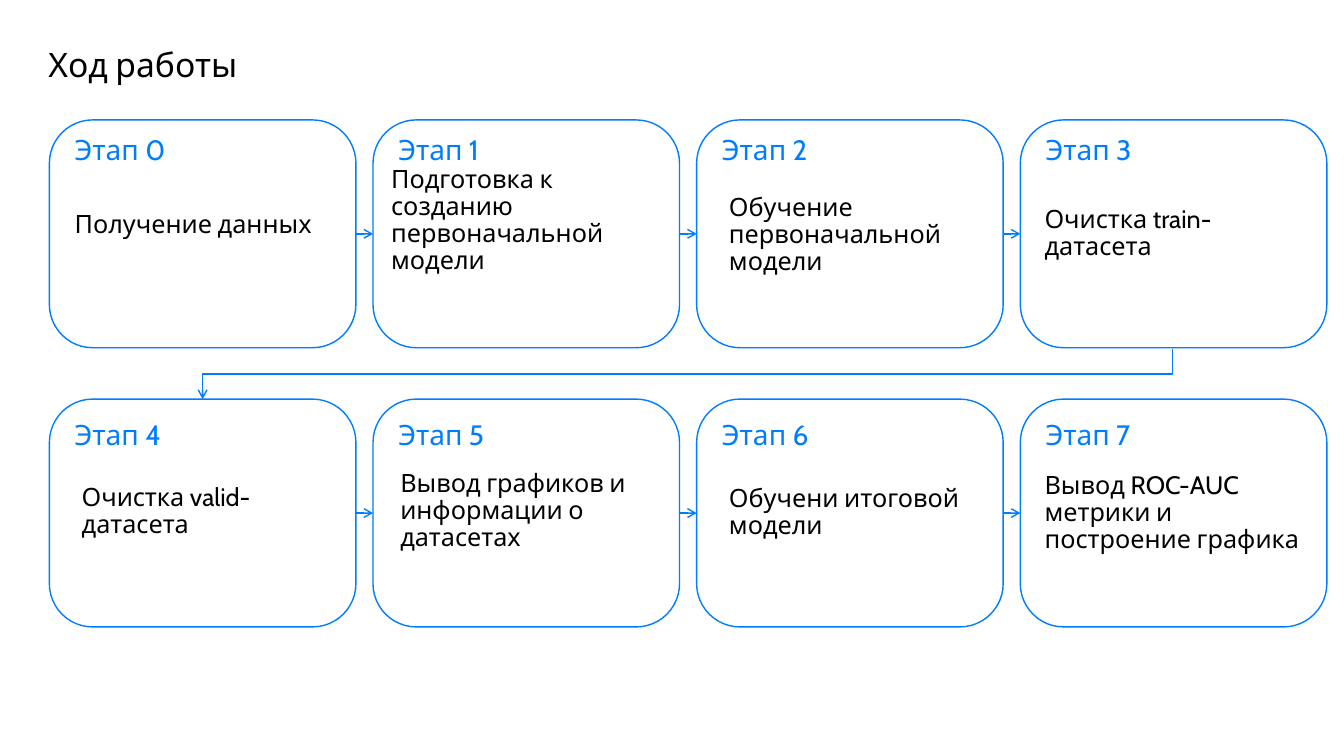
import pptx
import pptx.util
from lxml import etree
from pptx.dml.color import RGBColor
from pptx.enum.shapes import MSO_CONNECTOR, MSO_SHAPE
from pptx.enum.text import MSO_ANCHOR, MSO_AUTO_SIZE, PP_ALIGN
from pptx.oxml.ns import qn

PX = 9144  # 100 px to the inch
BLUE = RGBColor(0x00, 0x7D, 0xFF)
BLACK = RGBColor(0x00, 0x00, 0x00)
WHITE = RGBColor(0xFF, 0xFF, 0xFF)

CARD_LEFT, CARD_WIDTH, CARD_HEIGHT = 49, 304, 226
COLUMN_STEP = 321
ROW_TOPS = [119, 396]
LABEL_TOPS = [131, 414]

# description, left, top, width, height
STAGES = [
    ("Получение данных", 74, 210, 255, 27),
    ("Подготовка к созданию первоначальной модели", 388, 191, 274, 82),
    ("Обучение первоначальной модели", 723, 192, 255, 82),
    ("Очистка train-датасета", 1036, 204, 255, 55),
    ("Очистка valid-датасета", 81, 480, 255, 55),
    ("Вывод графиков и информации о датасетах", 397, 466, 255, 82),
    ("Обучени итоговой модели", 723, 481, 255, 55),
    ("Вывод ROC-AUC метрики и построение графика", 1036, 468, 255, 82),
]


def write(shape, text, size, color, spacing=None, anchor=MSO_ANCHOR.TOP):
    frame = shape.text_frame
    frame.margin_left = frame.margin_top = frame.margin_right = frame.margin_bottom = 0
    frame.word_wrap = True
    frame.vertical_anchor = anchor
    para = frame.paragraphs[0]
    para.text = text
    para.alignment = PP_ALIGN.LEFT
    para.line_spacing = spacing
    para.font.name = "Cabin"
    para.font.size = pptx.util.Pt(size)
    para.font.color.rgb = color
    return frame


def add_arrow(kind, left, top, right, bottom):
    arrow = page.shapes.add_connector(kind, left * PX, top * PX, right * PX, bottom * PX)
    arrow.line.color.rgb = BLUE
    arrow.line.width = pptx.util.Pt(1)
    etree.SubElement(arrow.line._get_or_add_ln(), qn("a:tailEnd"), type="arrow")
    etree.SubElement(arrow._element.spPr, qn("a:effectLst"))
    return arrow


deck = pptx.Presentation()
deck.slide_width = 1333 * PX
deck.slide_height = 750 * PX
page = deck.slides.add_slide(deck.slide_layouts[5])

title = page.shapes.title
title.left, title.top, title.width, title.height = 48 * PX, 48 * PX, 1236 * PX, 71 * PX
write(title, "Ход работы", 24, BLACK, 0.9)

cards = []
for number, (description, left, top, width, height) in enumerate(STAGES):
    row, column = divmod(number, 4)
    card_left = CARD_LEFT + column * COLUMN_STEP
    card = page.shapes.add_shape(
        MSO_SHAPE.ROUNDED_RECTANGLE,
        card_left * PX, ROW_TOPS[row] * PX, CARD_WIDTH * PX, CARD_HEIGHT * PX)
    card.adjustments[0] = 0.19
    card.shadow.inherit = False
    card.fill.solid()
    card.fill.fore_color.rgb = WHITE
    card.line.color.rgb = BLUE
    card.line.width = pptx.util.Pt(1)
    cards.append(card)

    label = page.shapes.add_textbox(
        (card_left + 25) * PX, LABEL_TOPS[row] * PX, 195 * PX, 34 * PX)
    frame = write(label, f"Этап {number}", 20, BLUE)
    frame.auto_size = MSO_AUTO_SIZE.SHAPE_TO_FIT_TEXT

    box = page.shapes.add_textbox(left * PX, top * PX, width * PX, height * PX)
    frame = write(box, description, 18, BLACK, 0.9, MSO_ANCHOR.BOTTOM)
    frame.auto_size = MSO_AUTO_SIZE.SHAPE_TO_FIT_TEXT

    if column > 0:
        middle = ROW_TOPS[row] + CARD_HEIGHT // 2
        arrow = add_arrow(MSO_CONNECTOR.STRAIGHT,
                          card_left - COLUMN_STEP + CARD_WIDTH, middle, card_left, middle)
        arrow.begin_connect(cards[number - 1], 3)
        arrow.end_connect(card, 1)

# The row change runs down, left and down: an elbow turned by 90 degrees about its centre
run = 3 * COLUMN_STEP
drop = ROW_TOPS[1] - ROW_TOPS[0] - CARD_HEIGHT
center_x = CARD_LEFT + (run + CARD_WIDTH) // 2
center_y = ROW_TOPS[1] - drop // 2
row_change = add_arrow(MSO_CONNECTOR.ELBOW,
                       center_x - drop // 2, center_y - run // 2,
                       center_x + drop // 2, center_y + run // 2)
row_change._element.spPr.find(qn("a:xfrm")).set("rot", "5400000")

deck.save("out.pptx")
